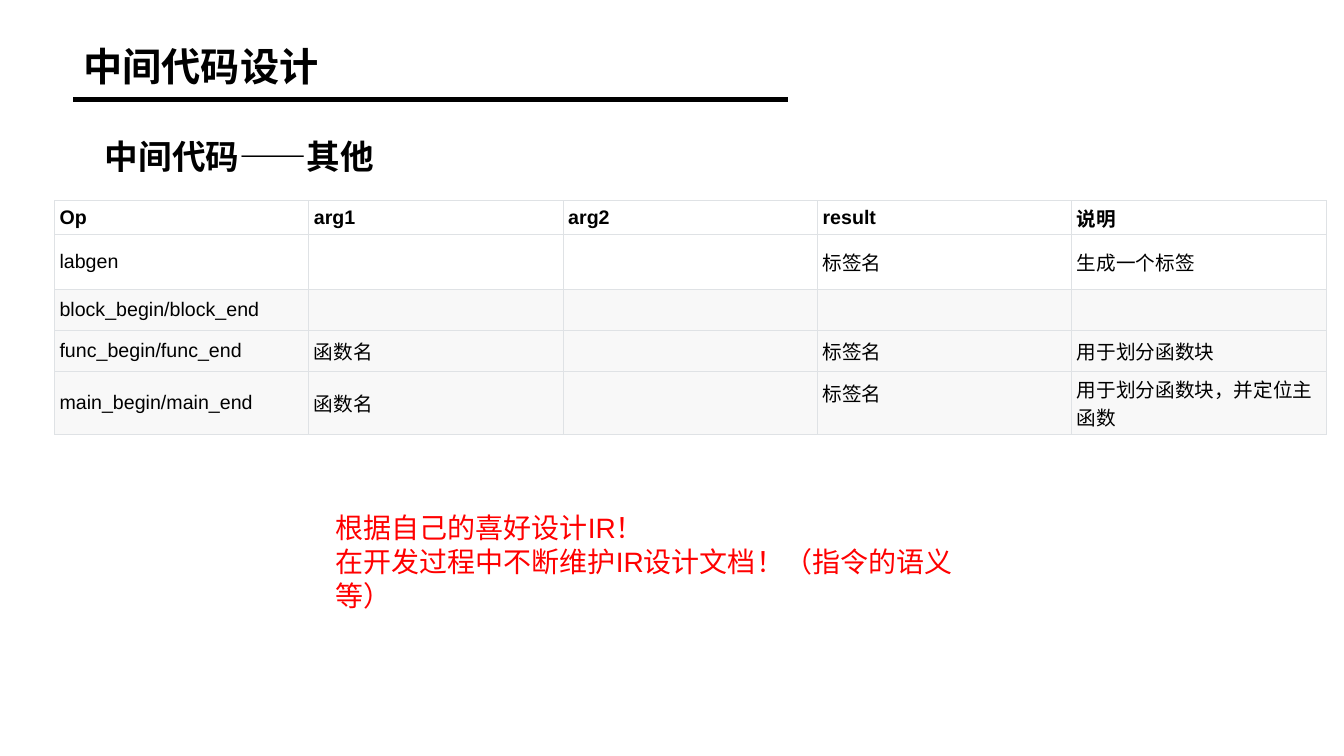
from lxml import etree
from pptx import Presentation
from pptx.dml.color import RGBColor
from pptx.enum.shapes import MSO_CONNECTOR
from pptx.enum.text import MSO_ANCHOR, MSO_AUTO_SIZE, PP_ALIGN
from pptx.oxml import parse_xml
from pptx.oxml.ns import nsdecls, qn
from pptx.util import Cm, Pt

# Content
HEADING = "中间代码设计"
SUBHEADING = "中间代码——其他"
INSTRUCTIONS = [
    ("Op", "arg1", "arg2", "result", "说明"),
    ("labgen", "", "", "标签名", "生成一个标签"),
    ("block_begin/block_end", "", "", "", ""),
    ("func_begin/func_end", "函数名", "", "标签名", "用于划分函数块"),
    ("main_begin/main_end", "函数名", "", "标签名", "用于划分函数块，并定位主函数"),
]
ADVICE = ["根据自己的喜好设计IR！", "在开发过程中不断维护IR设计文档！（指令的语义等）"]

# Format values
BLACK = RGBColor(0x00, 0x00, 0x00)
RED = RGBColor(0xFF, 0x00, 0x00)
WHITE = RGBColor(0xFF, 0xFF, 0xFF)
BAND = RGBColor(0xF8, 0xF8, 0xF8)
BORDER = RGBColor(0xDF, 0xE2, 0xE5)
ROW_HEIGHTS = [0.86, 1.38, 1.04, 1.04, 1.57]
COLUMN_WIDTH = 6.41
FRAME_FORMAT = {"word_wrap": True, "auto_size": MSO_AUTO_SIZE.NONE,
                "vertical_anchor": MSO_ANCHOR.TOP}
CELL_FORMAT = {"margin_left": Cm(0.13), "margin_right": Cm(0.13),
               "margin_top": Cm(0.05), "margin_bottom": Cm(0.05),
               "vertical_anchor": MSO_ANCHOR.MIDDLE}


def apply(target, values):
    for name, value in values.items():
        setattr(target, name, value)


def style_font(font, size, color=BLACK, bold=False):
    apply(font, {"name": "Arial", "size": Pt(size), "bold": bold})
    font.color.rgb = color


def fill_frame(shape, box, lines, size, color=BLACK, bold=False, spacing=1.0):
    apply(shape, dict(zip(("left", "top", "width", "height"), map(Cm, box))))
    frame = shape.text_frame
    apply(frame, FRAME_FORMAT)
    frame.text = "\n".join(lines)
    for paragraph in frame.paragraphs:
        apply(paragraph, {"alignment": PP_ALIGN.LEFT, "line_spacing": spacing,
                          "space_before": Pt(0)})
        style_font(paragraph.runs[0].font, size, color, bold)


def add_borders(cell):
    properties = cell._tc.get_or_add_tcPr()
    for position, side in enumerate(("lnL", "lnR", "lnT", "lnB")):
        properties.insert(position, parse_xml(
            f'<a:{side} {nsdecls("a")} w="{Pt(0.6)}"><a:solidFill>'
            f'<a:srgbClr val="{BORDER}"/></a:solidFill></a:{side}>'))


def main():
    deck = Presentation()
    deck.slide_width, deck.slide_height = Cm(33.87), Cm(19.05)
    slide = deck.slides.add_slide(deck.slide_layouts[1])

    # Heading and subheading
    fill_frame(slide.shapes.title, (1.85, 1.07, 30.15, 1.78), [HEADING], 28,
               bold=True, spacing=0.9)
    subheading = slide.placeholders[1]
    fill_frame(subheading, (2.39, 3.4, 11.94, 1.45), [SUBHEADING], 24,
               bold=True, spacing=0.9)
    bullet = subheading.text_frame.paragraphs[0]._p.get_or_add_pPr()
    bullet.set("marL", "0")
    bullet.set("indent", "0")
    etree.SubElement(bullet, qn("a:buNone"))

    # Rule under the heading
    rule = slide.shapes.add_connector(
        MSO_CONNECTOR.STRAIGHT, Cm(1.85), Cm(2.51), Cm(19.86), Cm(2.51))
    rule.line.color.rgb = BLACK
    rule.line.width = Pt(3)
    etree.SubElement(rule._element.spPr, qn("a:effectLst"))

    # Instruction table
    columns = len(INSTRUCTIONS[0])
    table = slide.shapes.add_table(
        len(INSTRUCTIONS), columns, Cm(1.37), Cm(5.05),
        Cm(COLUMN_WIDTH * columns), Cm(sum(ROW_HEIGHTS))).table
    for column in table.columns:
        column.width = Cm(COLUMN_WIDTH)
    for row, (height, texts) in enumerate(zip(ROW_HEIGHTS, INSTRUCTIONS)):
        table.rows[row].height = Cm(height)
        for column, text in enumerate(texts):
            cell = table.cell(row, column)
            cell.text = text
            apply(cell, CELL_FORMAT)
            style_font(cell.text_frame.paragraphs[0].font, 14, bold=row == 0)
            for run in cell.text_frame.paragraphs[0].runs:
                style_font(run.font, 14, bold=row == 0)
            cell.fill.solid()
            cell.fill.fore_color.rgb = WHITE if row < 2 else BAND
            add_borders(cell)
    # The last label sits a little above the middle of its row
    table.cell(4, 3).margin_bottom = Cm(0.55)

    # Advice
    advice = slide.shapes.add_textbox(0, 0, 0, 0)
    fill_frame(advice, (8.2, 12.75, 17.45, 1.96), ADVICE, 20, RED)

    deck.save("out.pptx")


if __name__ == "__main__":
    main()
